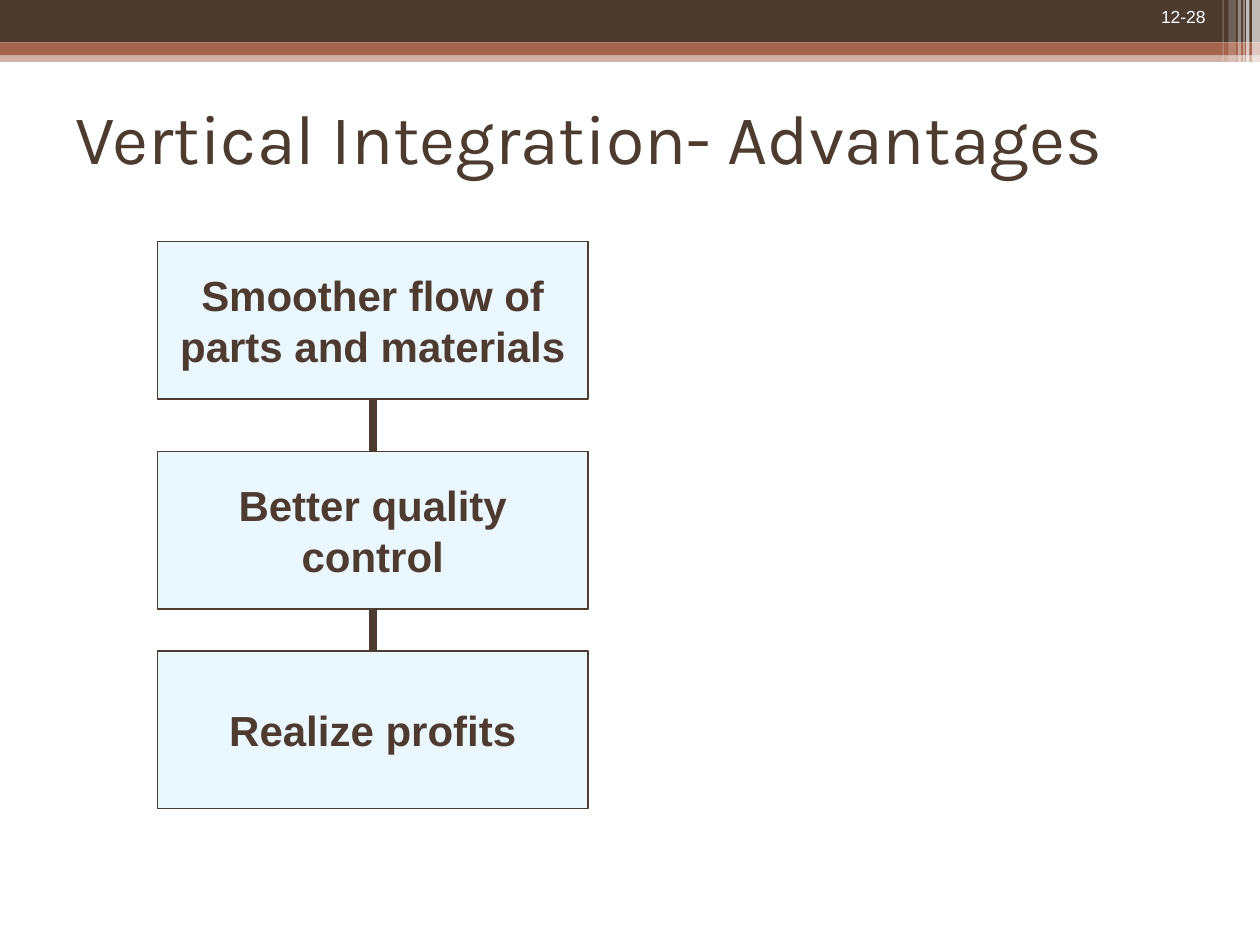
import pptx
import pptx.dml.color
import pptx.enum.shapes
import pptx.enum.text
import pptx.oxml.ns
import pptx.util
from lxml import etree

Pt = pptx.util.Pt
ALIGN = pptx.enum.text.PP_ALIGN
ANCHOR = pptx.enum.text.MSO_ANCHOR
COLORS = {
    "brown": "4E3B30",
    "rust": "A5644E",
    "white": "FFFFFF",
    "pale blue": "EBF7FF",
}
SLIDE_WIDTH, SLIDE_HEIGHT = 720, 540

# top, height, colour, opacity in percent
BANDS = [
    (28.8, 6.6, "rust", 50),
    (0, 24.3, "brown", 100),
    (24.3, 7.2, "rust", 100),
]
# left, width, height, opacity in percent
STRIPES = [
    (715.5, 4.5, 49, 65),
    (712, 2, 49, 65),
    (710.5, 0.7, 49, 60),
    (707.3, 2, 49, 40),
    (702, 4.3, 46, 20),
    (698.6, 0.7, 46, 30),
]
BOX_LEFT, BOX_WIDTH, BOX_HEIGHT = 90, 246, 90
ADVANTAGES = [
    (138, "Smoother flow of parts and materials"),
    (258, "Better quality control"),
    (372, "Realize profits"),
]


def color(name):
    return pptx.dml.color.RGBColor.from_string(COLORS[name])


def write(text_frame, text, font_name, size, color_name, alignment, bold=False):
    text_frame.text = text
    text_frame.word_wrap = True
    paragraph = text_frame.paragraphs[0]
    paragraph.alignment = alignment
    font = paragraph.runs[0].font
    font.name = font_name
    font.size = Pt(size)
    font.bold = bold
    font.color.rgb = color(color_name)


def add_rectangle(slide, left, top, width, height, fill, opacity=100):
    shape = slide.shapes.add_shape(
        pptx.enum.shapes.MSO_SHAPE.RECTANGLE,
        Pt(left), Pt(top), Pt(width), Pt(height))
    shape.shadow.inherit = False
    shape.fill.solid()
    shape.fill.fore_color.rgb = color(fill)
    shape.line.fill.background()
    if opacity < 100:
        qn = pptx.oxml.ns.qn
        fill_color = shape.fill._xPr.find(qn("a:solidFill")).find(qn("a:srgbClr"))
        etree.SubElement(fill_color, qn("a:alpha"), val=str(opacity * 1000))
    return shape


def add_header(slide):
    for top, height, fill, opacity in BANDS:
        add_rectangle(slide, 0, top, SLIDE_WIDTH, height, fill, opacity)
    for left, width, height, opacity in STRIPES:
        add_rectangle(slide, left, 0, width, height, "white", opacity)


def add_page_number(slide, text):
    text_box = slide.shapes.add_textbox(Pt(618), Pt(0), Pt(78), Pt(19.4))
    write(text_box.text_frame, text, "Arial", 10, "white", ALIGN.RIGHT)


def set_title(slide, text):
    title = slide.shapes.title
    title.left, title.top, title.width, title.height = Pt(36), Pt(36), Pt(648), Pt(84)
    title.text_frame.auto_size = pptx.enum.text.MSO_AUTO_SIZE.NONE
    title.text_frame.vertical_anchor = ANCHOR.MIDDLE
    write(title.text_frame, text, "Karla", 40, "brown", ALIGN.LEFT)


def add_box(slide, top, text):
    box = add_rectangle(slide, BOX_LEFT, top, BOX_WIDTH, BOX_HEIGHT, "pale blue")
    box.line.color.rgb = color("brown")
    box.line.width = Pt(0.75)
    box.text_frame.vertical_anchor = ANCHOR.MIDDLE
    write(box.text_frame, text, "Arial", 24, "brown", ALIGN.CENTER, bold=True)
    return box


def add_spine(slide, first, last):
    """Join the first box to the last one, behind the boxes."""
    spine = slide.shapes.add_connector(
        pptx.enum.shapes.MSO_CONNECTOR.STRAIGHT, 0, 0, 0, 0)
    spine.begin_connect(first, 2)
    spine.end_connect(last, 0)
    spine.line.color.rgb = color("brown")
    spine.line.width = Pt(4.5)
    etree.SubElement(spine._element.spPr, pptx.oxml.ns.qn("a:effectLst"))
    first._element.addprevious(spine._element)


def main():
    presentation = pptx.Presentation()
    presentation.slide_width = Pt(SLIDE_WIDTH)
    presentation.slide_height = Pt(SLIDE_HEIGHT)
    slide = presentation.slides.add_slide(presentation.slide_layouts[5])

    add_header(slide)
    add_page_number(slide, "12-28")
    set_title(slide, "Vertical Integration- Advantages")
    boxes = [add_box(slide, top, text) for top, text in ADVANTAGES]
    add_spine(slide, boxes[0], boxes[-1])

    presentation.save("out.pptx")


if __name__ == "__main__":
    main()
